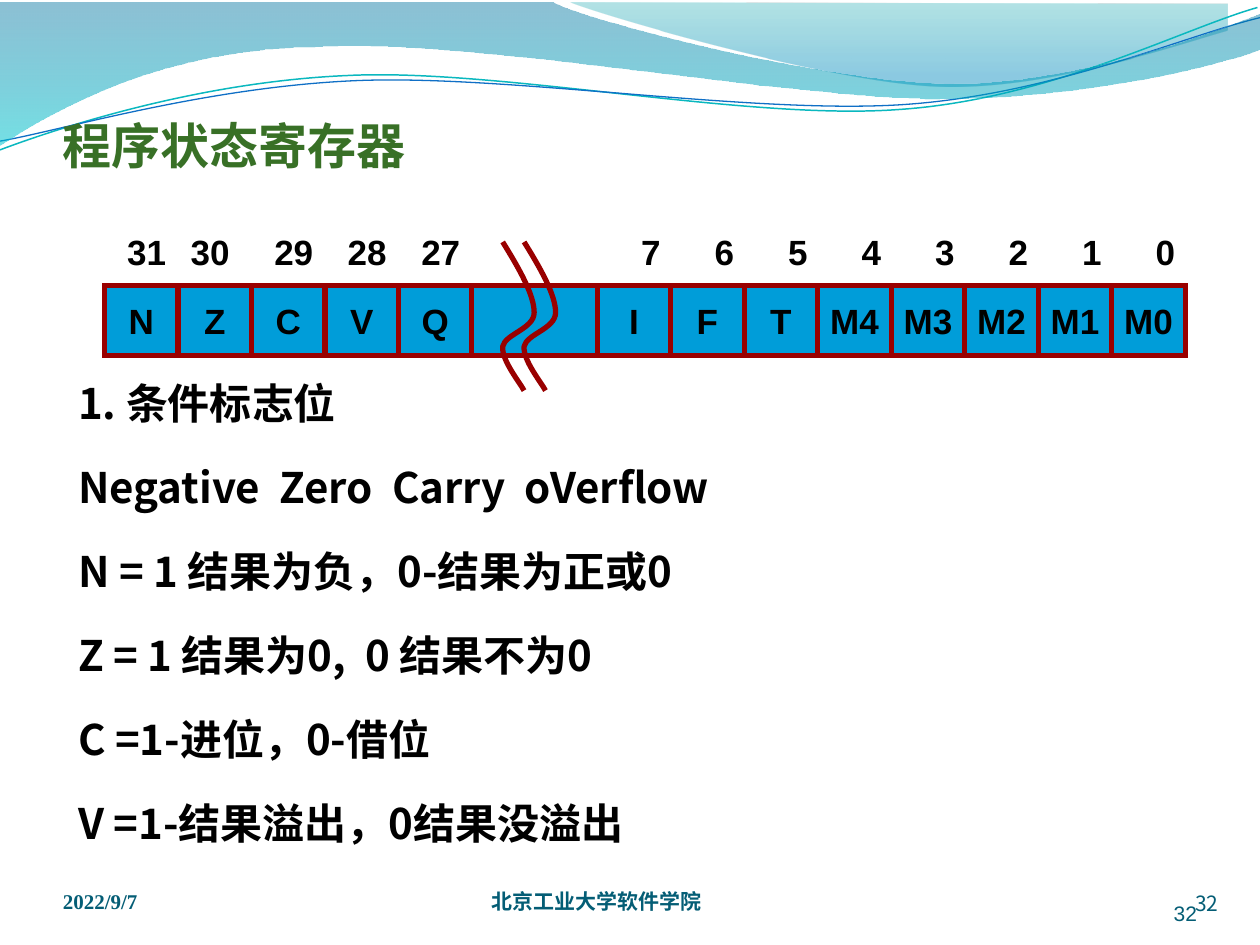
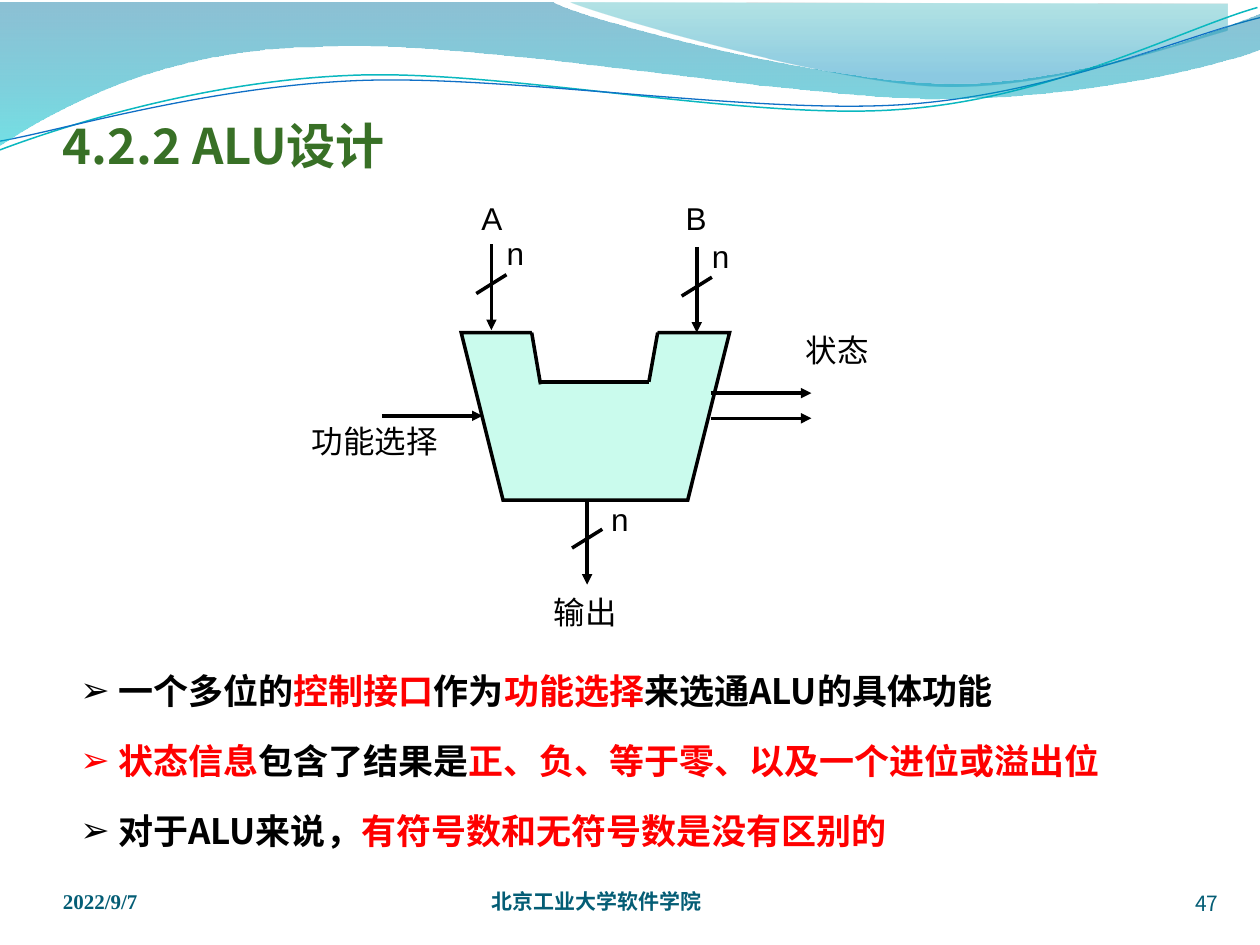
from dataclasses import dataclass

from lxml import etree
from pptx import Presentation
from pptx import util as u
from pptx.dml.color import RGBColor
from pptx.enum import shapes, text
from pptx.oxml.ns import qn


@dataclass(frozen=True)
class Theme:
    heading: str = "387026"
    footer: str = "045D75"
    ink: str = "000000"
    accent: str = "FF0000"
    cell: str = "009DD9"
    cell_border: str = "990000"
    alu: str = "CAFBED"
    paper: str = "FFFFFF"
    teal_line: str = "0AB8BF"
    blue_line: str = "0F6FC6"
    cjk: str = "Noto Sans CJK SC"
    sans: str = "Arial"
    serif: str = "Times New Roman"
    title_size: int = 28
    body_size: int = 24
    bullet_size: int = 20
    label_size: int = 18
    footer_size: int = 12


THEME = Theme()
LEFT, CENTER, RIGHT = text.PP_ALIGN.LEFT, text.PP_ALIGN.CENTER, text.PP_ALIGN.RIGHT
TOP, MIDDLE, BOTTOM = text.MSO_ANCHOR.TOP, text.MSO_ANCHOR.MIDDLE, text.MSO_ANCHOR.BOTTOM

# Outlines: one point is a line to it, three points are a Bezier curve
RIGHT_WAVE = [[(4.53, 0.02)],
              [(4.83, 0.14), (6.56, 0.64), (7.42, 0.68)],
              [(8.29, 0.72), (9.35, 0.35), (9.74, 0.24)],
              [(9.74, 0.03)]]
WIDE_WAVE = [[(-0.01, 0.02)], [(4.39, 0.02)],
             [(4.75, 0.19), (6.62, 0.66), (7.57, 0.66)],
             [(8.52, 0.66), (9.57, 0.28), (9.99, 0.11)],
             [(10, 0.39)],
             [(9.82, 0.47), (8.69, 0.78), (7.45, 0.78)],
             [(6.21, 0.78), (3.81, 0.31), (2.56, 0.37)],
             [(1.28, 0.38), (0.45, 0.86), (-0.02, 1.16)]]
TEAL_CURVE = [[(0, 1.19)],
              [(0.48, 1.01), (1.58, 0.65), (2.76, 0.6)],
              [(3.95, 0.54), (5.92, 0.96), (7.13, 0.87)],
              [(8.33, 0.79), (9.38, 0.23), (9.98, 0.06)]]
BLUE_CURVE = [[(0, 1.12)],
              [(0.47, 1.04), (1.63, 0.69), (2.83, 0.64)],
              [(4.02, 0.59), (5.97, 0.91), (7.17, 0.83)],
              [(8.36, 0.75), (9.41, 0.28), (10, 0.14)]]
BREAK_MARK = [[(0.01, 0)],
              [(0.14, 0.21), (0.26, 0.42), (0.26, 0.56)],
              [(0.26, 0.69), (0.03, 0.73), (0.01, 0.83)],
              [(0, 0.94), (0.15, 1.12), (0.18, 1.18)]]


def rgb(color):
    return RGBColor.from_string(color)


# Text
def write_text(frame, paragraphs, *, size, font=THEME.cjk, color=THEME.ink, bold=False,
               align=LEFT, anchor=TOP, margins=(0.1, 0.05, 0.1, 0.05), wrap=True,
               line_pitch=None, bullet=None):
    """Fill a frame; a paragraph is a list of runs, a run is a string or (string, color)."""
    frame.word_wrap = wrap
    frame.vertical_anchor = anchor
    (frame.margin_left, frame.margin_top,
     frame.margin_right, frame.margin_bottom) = map(u.Inches, margins)
    for index, runs in enumerate(paragraphs):
        paragraph = frame.add_paragraph() if index else frame.paragraphs[0]
        paragraph.alignment = align
        if line_pitch:
            paragraph.line_spacing = u.Pt(line_pitch)
        if bullet:
            add_bullet(paragraph, bullet)
        for item in runs:
            words, run_color = (item, color) if isinstance(item, str) else item
            run = paragraph.add_run()
            run.text = words
            run.font.name = font
            run.font.size = u.Pt(size)
            run.font.bold = bold
            run.font.color.rgb = rgb(run_color)
            latin = run.font._element.find(qn("a:latin"))
            latin.addnext(etree.Element(qn("a:ea"), typeface=THEME.cjk))


def add_bullet(paragraph, character, indent=0.3):
    properties = paragraph._p.get_or_add_pPr()
    properties.set("marL", str(u.Inches(indent)))
    properties.set("indent", str(-u.Inches(indent)))
    etree.SubElement(properties, qn("a:buFont"), typeface=THEME.sans)
    etree.SubElement(properties, qn("a:buChar"), char=character)


def add_text(slide, box, paragraphs, **text_format):
    shape = slide.shapes.add_textbox(*map(u.Inches, box))
    if isinstance(paragraphs, str):
        paragraphs = [[paragraphs]]
    write_text(shape.text_frame, paragraphs, **text_format)


# Shapes, outlines and lines
def set_line(shape, color, width):
    if color:
        shape.line.color.rgb = rgb(color)
        shape.line.width = u.Pt(width)
    else:
        shape.line.fill.background()


def add_block(slide, kind, box, fill, line=None, width=2):
    shape = slide.shapes.add_shape(kind, *map(u.Inches, box))
    shape.shadow.inherit = False
    shape.fill.solid()
    shape.fill.fore_color.rgb = rgb(fill)
    set_line(shape, line, width)
    etree.SubElement(shape.line._get_or_add_ln(), qn("a:miter"), lim="800000")
    return shape


def add_outline(slide, outline, *, line=None, width=1, stops=None, offset=(0, 0)):
    """Draw an open curve, or a closed area when gradient stops are given."""
    points = [(u.Inches(x + offset[0]), u.Inches(y + offset[1]))
              for part in outline for x, y in part]
    builder = slide.shapes.build_freeform(*points[0])
    builder.add_line_segments(points[1:], close=bool(stops))
    shape = builder.convert_to_shape()
    bend_segments(shape, outline)
    shape.shadow.inherit = False
    set_line(shape, line, width)
    if stops:
        fill_gradient(shape, stops)
    else:
        shape.fill.background()


def bend_segments(shape, outline):
    """Join each run of three line segments of a curve into one Bezier segment."""
    segments = iter(list(shape._element.spPr.iter(qn("a:lnTo"))))
    for part in outline[1:]:
        first, *others = [next(segments) for _ in part]
        if others:
            first.tag = qn("a:cubicBezTo")
        for segment in others:
            first.append(segment[0])
            segment.getparent().remove(segment)


def fill_gradient(shape, stops):
    shape.fill.gradient()
    shape.fill.gradient_angle = 270
    for stop, (position, color, _) in zip(shape.fill.gradient_stops, stops):
        stop.position = position
        stop.color.rgb = rgb(color)
    color_elements = shape._element.spPr.iter(qn("a:srgbClr"))
    for element, (_, _, opacity) in zip(list(color_elements), stops):
        etree.SubElement(element, qn("a:alpha"), val=str(opacity * 1000))


def add_line(slide, start, end, arrow=False):
    line = slide.shapes.add_connector(shapes.MSO_CONNECTOR.STRAIGHT,
                                      *map(u.Inches, (*start, *end)))
    set_line(line, THEME.ink, 2)
    if arrow:
        etree.SubElement(line.line._get_or_add_ln(), qn("a:tailEnd"), type="triangle")
    etree.SubElement(line._element.spPr, qn("a:effectLst"))


# Shared frame: waves, footer and title
def add_page_number(slide, box, number, font=THEME.cjk):
    add_text(slide, box, number, size=THEME.footer_size, font=font, color=THEME.footer,
             align=RIGHT, anchor=BOTTOM, margins=(0, 0, 0, 0))


def start_slide(presentation, title, number):
    slide = presentation.slides.add_slide(presentation.slide_layouts[6])
    add_outline(slide, RIGHT_WAVE, stops=[(0, "00A1A9", 30), (0.8, "008BBF", 45)])
    add_outline(slide, TEAL_CURVE, line=THEME.teal_line, width=0.85)
    add_outline(slide, BLUE_CURVE, line=THEME.blue_line, width=0.75)
    add_outline(slide, WIDE_WAVE, stops=[(0, "0074A1", 45), (1, "00C6CF", 55)])
    for box, words, font in (((0.5, 6.88, 2.33, 0.37), "2022/9/7", THEME.serif),
                             ((3.9, 6.88, 3.67, 0.37), "北京工业大学软件学院", THEME.cjk)):
        add_text(slide, box, words, size=THEME.footer_size, font=font, bold=True,
                 color=THEME.footer, anchor=BOTTOM, margins=(0, 0, 0, 0))
    add_page_number(slide, (8.84, 6.9, 0.83, 0.37), number)
    add_text(slide, (0.5, 0.76, 9, 0.62), title, size=THEME.title_size, bold=True,
             color=THEME.heading, anchor=BOTTOM, margins=(0, 0.05, 0, 0))
    return slide


# Status register
def add_bits(slide, left, names, first_bit, number_shifts):
    cell_width = 7 / 12
    for index, (name, shift) in enumerate(zip(names, number_shifts)):
        x = left + index * cell_width
        cell = add_block(slide, shapes.MSO_SHAPE.RECTANGLE, (x, 2.265, cell_width, 0.56),
                         THEME.cell, THEME.cell_border, 3)
        bit_format = dict(size=THEME.bullet_size, font=THEME.sans, bold=True, align=CENTER)
        write_text(cell.text_frame, [[name]], anchor=MIDDLE, wrap=False, **bit_format)
        add_text(slide, (x + shift, 1.78, 0.67, 0.36), str(first_bit - index), **bit_format)


def build_register_slide(presentation):
    slide = start_slide(presentation, "程序状态寄存器", "32")
    add_page_number(slide, (8.67, 6.95, 0.83, 0.4), "32", THEME.sans)
    lines = ["1. 条件标志位",
             "Negative  Zero  Carry  oVerflow",
             "N = 1 结果为负，0-结果为正或0",
             "Z = 1 结果为0,  0 结果不为0",
             "C =1-进位，0-借位",
             "V =1-结果溢出，0结果没溢出"]
    # The top margin leaves room for the register
    add_text(slide, (0.51, 1.55, 9, 5.28), [[line] for line in lines],
             size=THEME.body_size, bold=True, line_pitch=48, margins=(0.11, 1.18, 0.1, 0.05))
    add_bits(slide, 0.83, "NZCVQ", 31, (0, -0.08, 0, 0, 0))
    add_bits(slide, 4.74, ("I", "F", "T", "M4", "M3", "M2", "M1", "M0"), 7, [0.09] * 8)
    add_block(slide, shapes.MSO_SHAPE.RECTANGLE, (3.74, 2.265, 1, 0.56),
              THEME.cell, THEME.cell_border, 3)
    for x in (3.98, 4.15):
        add_outline(slide, BREAK_MARK, line=THEME.cell_border, width=3, offset=(x, 1.92))


# ALU diagram
def add_label(slide, box, words):
    add_text(slide, box, words, size=THEME.label_size, font=THEME.sans,
             align=CENTER, wrap=False)


def add_bus(slide, x, top, label_offset):
    """A downward arrow with a slash and its width n."""
    add_line(slide, (x, top), (x, top + 0.68), arrow=True)
    add_line(slide, (x - 0.12, top + 0.39), (x + 0.12, top + 0.24))
    add_label(slide, (x + label_offset[0], top + label_offset[1], 0.34, 0.4), "n")


def add_trapezoid(slide, box, slant, fill, line=None):
    shape = add_block(slide, shapes.MSO_SHAPE.TRAPEZOID, box, fill, line)
    shape.adjustments[0] = slant
    shape.rotation = 180


def build_alu_slide(presentation):
    slide = start_slide(presentation, "4.2.2 ALU设计", "47")
    red = THEME.accent
    add_text(slide, (0.54, 5.09, 9, 1.58), [
        ["一个多位的", ("控制接口", red), "作为", ("功能选择", red), "来选通ALU的具体功能"],
        [("状态信息", red), "包含了结果是", ("正、负、等于零、以及一个进位或溢出位", red)],
        ["对于ALU来说，", ("有符号数和无符号数是没有区别的", red)],
    ], size=THEME.bullet_size, bold=True, line_pitch=40, bullet="➢",
        margins=(0.1, 0, 0.1, 0.05))

    # Body with its notch
    add_trapezoid(slide, (3.66, 2.64, 2.13, 1.33), 0.25, THEME.alu, THEME.ink)
    add_trapezoid(slide, (4.22, 2.62, 1, 0.41), 0.17, THEME.paper)
    add_line(slide, (4.22, 2.64), (4.29, 3.05))
    add_line(slide, (5.22, 2.64), (5.15, 3.03))
    add_line(slide, (4.29, 3.03), (5.15, 3.03))

    # Inputs, output, function select and status
    add_bus(slide, 3.9, 1.94, (0.02, -0.13))
    add_bus(slide, 5.53, 1.96, (0.02, -0.13))
    add_bus(slide, 4.66, 3.96, (0.09, -0.04))
    for x, y in ((3.03, 3.3), (5.64, 3.12), (5.64, 3.32)):
        add_line(slide, (x, y), (x + 0.8, y), arrow=True)
    add_label(slide, (3.72, 1.53, 0.37, 0.4), "A")
    add_label(slide, (5.34, 1.53, 0.37, 0.4), "B")
    add_label(slide, (4.29, 4.66, 0.71, 0.4), "输出")
    add_label(slide, (2.37, 3.3, 1.21, 0.4), "功能选择")
    add_label(slide, (6.29, 2.58, 0.71, 0.4), "状态")


def main():
    presentation = Presentation()
    presentation.slide_width = u.Inches(10)
    presentation.slide_height = u.Inches(7.5)
    build_register_slide(presentation)
    build_alu_slide(presentation)
    presentation.save("out.pptx")


if __name__ == "__main__":
    main()
